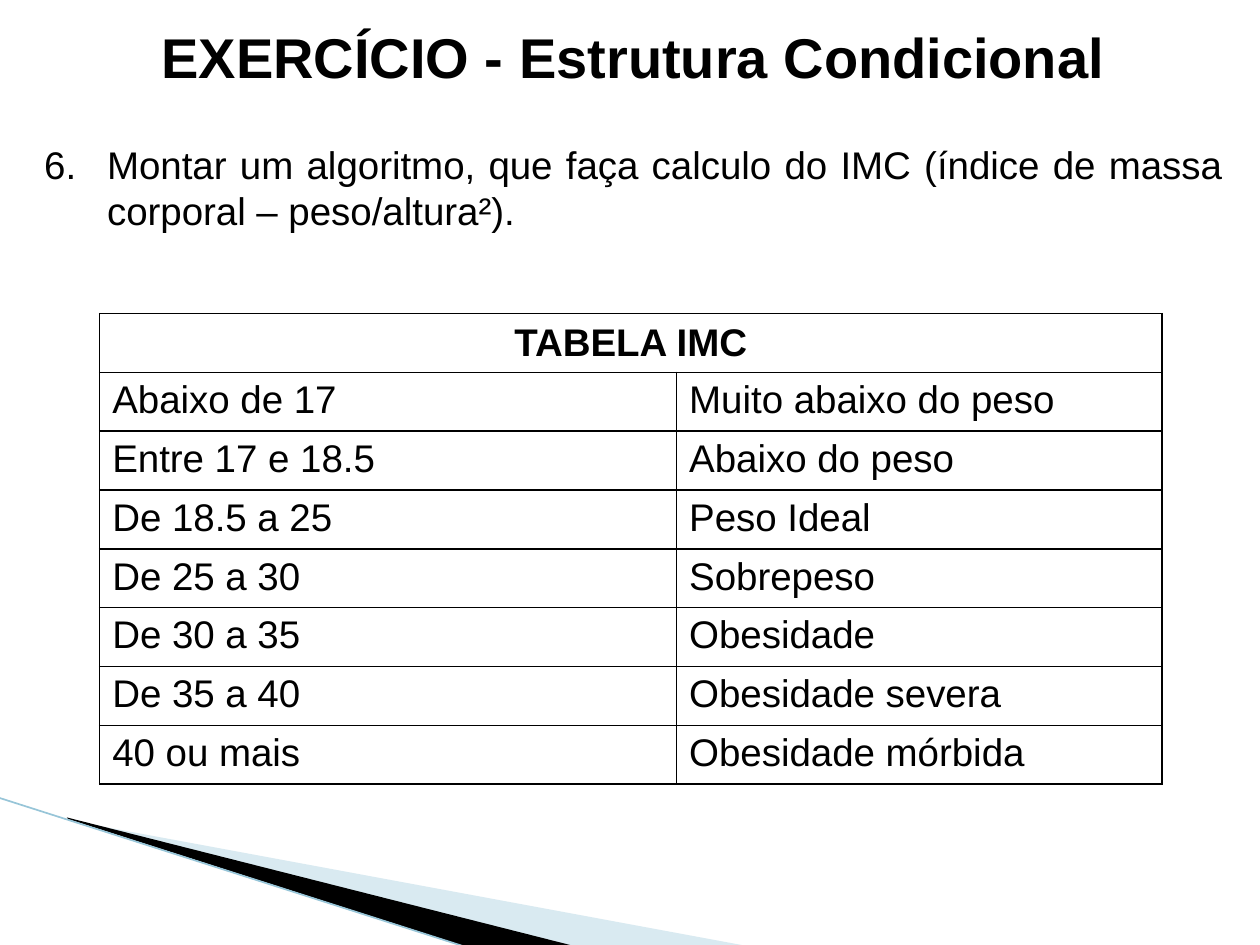
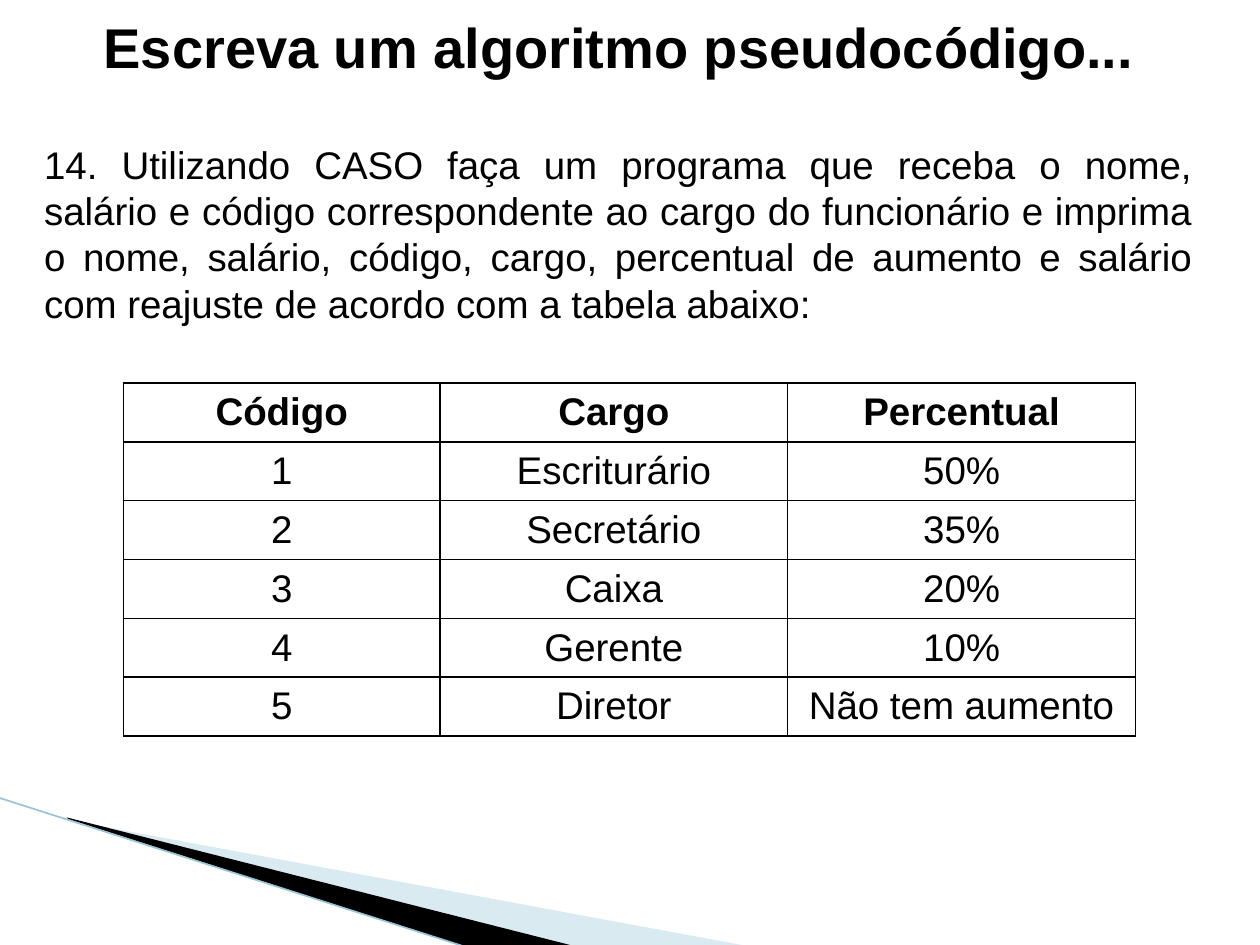
import pptx
import pptx.util
import pptx.dml.color
import pptx.enum.text
import pptx.enum.shapes
import pptx.oxml
import pptx.oxml.ns
import lxml.etree

Cm = pptx.util.Cm
Pt = pptx.util.Pt
ALIGN = pptx.enum.text.PP_ALIGN
MIDDLE = pptx.enum.text.MSO_ANCHOR.MIDDLE
TOP = pptx.enum.text.MSO_ANCHOR.TOP

FONT = "Arial"
BLACK = "000000"
PALE = "A0CBDC"
EDGE = "97C5D8"
TITLE = 32
BODY = 22
ROW = 1.185
BAND = (0, 16.08)


def color(code):
    """Turn a hex string into a colour."""
    return pptx.dml.color.RGBColor.from_string(code)


def node(parent, tag, **attrs):
    """Append a drawing element to a parent."""
    child = lxml.etree.SubElement(parent, pptx.oxml.ns.qn(tag))
    for name, value in attrs.items():
        child.set(name, str(value))
    return child


def style(frame, size, align, bold=False):
    """Format every paragraph and run of a text frame."""
    for para in frame.paragraphs:
        para.alignment = align
        for run in para.runs:
            run.font.name = FONT
            run.font.size = Pt(size)
            run.font.bold = bold
            run.font.color.rgb = color(BLACK)


def label(slide, box, text, size, align, bold=False):
    """Place a wrapped text box and return its paragraph."""
    frame = slide.shapes.add_textbox(*map(Cm, box)).text_frame
    frame.word_wrap = True
    frame.auto_size = pptx.enum.text.MSO_AUTO_SIZE.SHAPE_TO_FIT_TEXT
    frame.text = text
    style(frame, size, align, bold)
    return frame.paragraphs[0]


def number(para, start):
    """Number a paragraph with a hanging indent."""
    props = para._p.get_or_add_pPr()
    props.set("marL", str(Cm(1.27)))
    props.set("indent", str(-Cm(1.27)))
    node(props, "a:buFont", typeface="+mj-lt")
    node(props, "a:buAutoNum", type="arabicPeriod", startAt=start)


def wedge(slide, spot, points, code):
    """Draw a filled outline from points relative to a spot."""
    left, top = spot
    first, *rest = [(Cm(left + x), Cm(top + y)) for x, y in points]
    form = slide.shapes.build_freeform(*first)
    form.add_line_segments(rest)
    shape = form.convert_to_shape()
    shape.shadow.inherit = False
    shape.fill.solid()
    shape.fill.fore_color.rgb = color(code)
    shape.line.fill.background()
    return shape


def band(slide, spot):
    """Draw the slanted band in the lower left corner."""
    pale = wedge(slide, spot, [(1.4, 0.46), (15.11, 3), (11.58, 3), (1.4, 0.43)], PALE)
    fill = pale._element.spPr.find(pptx.oxml.ns.qn("a:solidFill"))
    node(fill[0], "a:alpha", val=40000)
    wedge(slide, spot, [(1.35, 0.4), (11.61, 3), (9.45, 3.02), (1.37, 0.43)], BLACK)
    left, top = spot
    edge = slide.shapes.add_connector(
        pptx.enum.shapes.MSO_CONNECTOR.STRAIGHT,
        Cm(left - 0.03), Cm(top), Cm(left + 9.42), Cm(top + 3.02))
    edge.line.color.rgb = color(EDGE)
    edge.line.width = Pt(0.95)
    node(edge._element.spPr, "a:effectLst")


def border(cell):
    """Give a cell thin black borders and no fill."""
    props = cell._tc.get_or_add_tcPr()
    for side in "LRTB":
        line = node(props, "a:ln" + side, w=Pt(1))
        node(node(line, "a:solidFill"), "a:srgbClr", val=BLACK)
    cell.fill.background()


def grid(slide, spot, widths, rows, align, anchor):
    """Place a ruled table with a bold, centred first row."""
    box = (*spot, sum(widths), ROW * len(rows))
    table = slide.shapes.add_table(len(rows), len(widths), *map(Cm, box)).table
    table.first_row = table.horz_banding = False
    for col, width in zip(table.columns, widths):
        col.width = Cm(width)
    for r, row in enumerate(rows):
        table.rows[r].height = Cm(ROW)
        for c in range(len(widths)):
            cell = table.cell(r, c)
            border(cell)
            cell.vertical_anchor = anchor if r else MIDDLE
            if c < len(row):
                cell.text_frame.text = row[c]
                style(cell.text_frame, BODY, align if r else ALIGN.CENTER, r == 0)
    if len(rows[0]) < len(widths):
        table.cell(0, 0).merge(table.cell(0, len(widths) - 1))


def page(deck, head, title, box, text):
    """Add a slide with band, title and task; return slide and task."""
    slide = deck.slides.add_slide(deck.slide_layouts[6])
    band(slide, BAND)
    label(slide, head, title, TITLE, ALIGN.CENTER, True)
    return slide, label(slide, box, text, BODY, ALIGN.JUSTIFY)


def main():
    """Build both exercise slides and save the deck."""
    deck = pptx.Presentation()
    deck.slide_width, deck.slide_height = Cm(25.4), Cm(19.05)

    slide, task = page(
        deck, (0.64, 0.33, 24.26, 1.63), "EXERCÍCIO - Estrutura Condicional",
        (0.64, 2.72, 24.26, 2.13),
        "Montar um algoritmo, que faça calculo do IMC (índice de massa "
        "corporal – peso/altura²).")
    number(task, 6)
    grid(slide, (2.01, 6.32), (11.63, 9.78), [
        ("TABELA IMC",),
        ("Abaixo de 17", "Muito abaixo do peso"),
        ("Entre 17 e 18.5", "Abaixo do peso"),
        ("De 18.5 a 25", "Peso Ideal"),
        ("De 25 a 30", "Sobrepeso"),
        ("De 30 a 35", "Obesidade"),
        ("De 35 a 40", "Obesidade severa"),
        ("40 ou mais", "Obesidade mórbida"),
    ], ALIGN.LEFT, TOP)

    slide, task = page(
        deck, (0.18, 0.13, 24.61, 1.63), "Escreva um algoritmo pseudocódigo...",
        (0.64, 2.72, 23.65, 4.01),
        "14. Utilizando CASO faça um programa que receba o nome, salário e "
        "código correspondente ao cargo do funcionário e imprima o nome, "
        "salário, código, cargo, percentual de aumento e salário com "
        "reajuste de acordo com a tabela abaixo:")
    grid(slide, (2.49, 7.72), (6.38, 7.01, 7.01), [
        ("Código", "Cargo", "Percentual"),
        ("1", "Escriturário", "50%"),
        ("2", "Secretário", "35%"),
        ("3", "Caixa", "20%"),
        ("4", "Gerente", "10%"),
        ("5", "Diretor", "Não tem aumento"),
    ], ALIGN.CENTER, MIDDLE)

    deck.save("out.pptx")


main()
